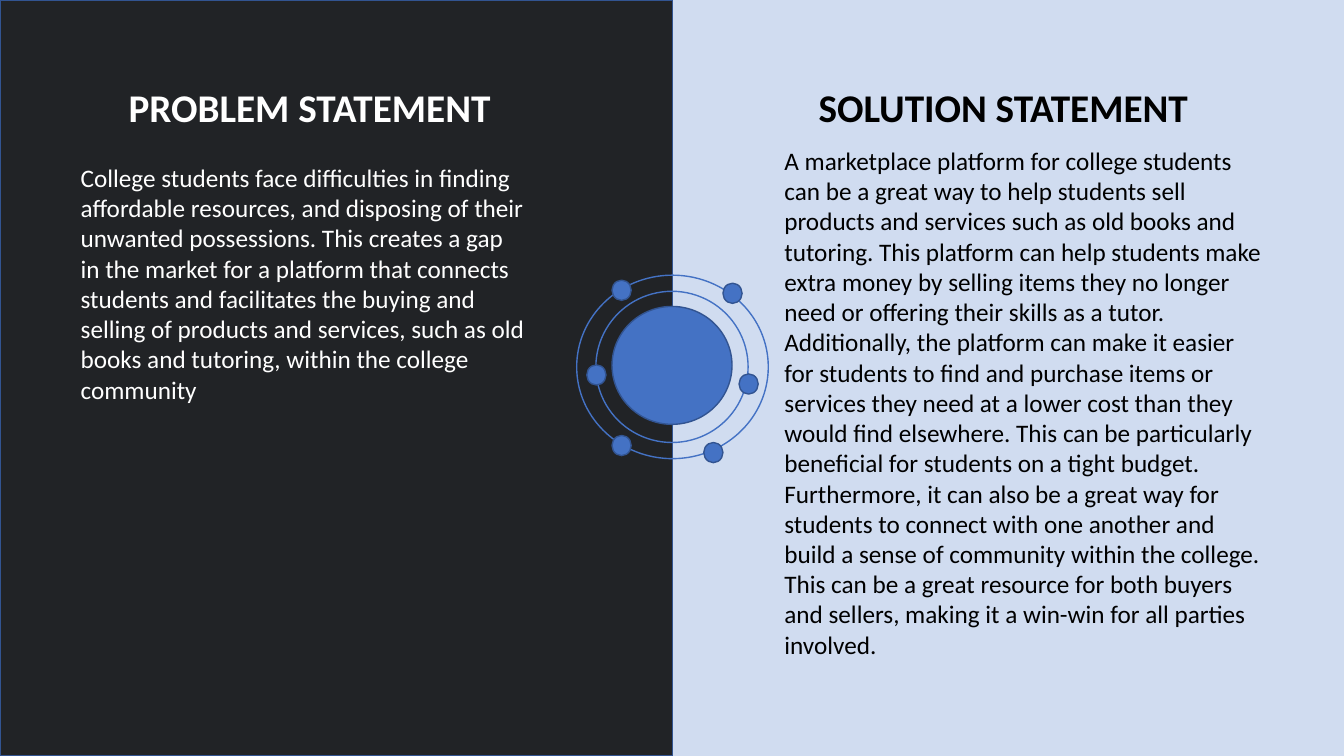
import pptx
import pptx.util
import pptx.dml.color
import pptx.enum.shapes
import pptx.enum.text
import pptx.oxml
import pptx.oxml.ns

Inches = pptx.util.Inches
Pt = pptx.util.Pt
SHAPE = pptx.enum.shapes.MSO_SHAPE
ALIGN = pptx.enum.text.PP_ALIGN
ANCHOR = pptx.enum.text.MSO_ANCHOR

COLOURS = {
    "background": "D0DCF0",
    "panel": "212326",
    "accent": "4472C4",
    "outline": "325491",
    "light": "FFFFFF",
    "dark": "000000",
}

HEADING = {
    "frame": {"vertical_anchor": ANCHOR.MIDDLE},
    "paragraph": {"alignment": ALIGN.CENTER},
    "font": {"name": "Calibri", "size": Pt(28), "bold": True},
}
STATEMENT = {
    "frame": {"vertical_anchor": ANCHOR.TOP},
    "paragraph": {"alignment": ALIGN.LEFT},
    "font": {"name": "Calibri", "size": Pt(18), "bold": False},
}
FRAME = {"word_wrap": True, "auto_size": pptx.enum.text.MSO_AUTO_SIZE.NONE}
PARAGRAPH = {"space_before": Pt(0), "space_after": Pt(0), "line_spacing": 1.0}

PROBLEM = (
    "College students face difficulties in finding affordable resources, and "
    "disposing of their unwanted possessions. This creates a gap in the market "
    "for a platform that connects students and facilitates the buying and "
    "selling of products and services, such as old books and tutoring, within "
    "the college community"
)
SOLUTION = (
    "A marketplace platform for college students can be a great way to help "
    "students sell products and services such as old books and tutoring. This "
    "platform can help students make extra money by selling items they no "
    "longer need or offering their skills as a tutor. Additionally, the "
    "platform can make it easier for students to find and purchase items or "
    "services they need at a lower cost than they would find elsewhere. This "
    "can be particularly beneficial for students on a tight budget. "
    "Furthermore, it can also be a great way for students to connect with one "
    "another and build a sense of community within the college. This can be a "
    "great resource for both buyers and sellers, making it a win-win for all "
    "parties involved."
)


def rgb(name):
    return pptx.dml.color.RGBColor.from_string(COLOURS[name])


def assign(target, values):
    for attribute, value in values.items():
        setattr(target, attribute, value)


def place(part, box):
    assign(part, dict(zip(("left", "top", "width", "height"), map(Inches, box))))


def add_figure(slide, preset, box, fill, line):
    figure = slide.shapes.add_shape(preset, *map(Inches, box))
    figure.shadow.inherit = False
    if fill:
        figure.fill.solid()
        figure.fill.fore_color.rgb = rgb(fill)
    else:
        figure.fill.background()
    figure.line.color.rgb = rgb(line)
    figure.line.width = Pt(1)


def write(part, box, words, style, colour):
    place(part, box)
    tree = part.element.getparent()
    tree.append(part.element)
    assign(part.text_frame, {**FRAME, **style["frame"]})
    paragraph = part.text_frame.paragraphs[0]
    assign(paragraph, {**PARAGRAPH, **style["paragraph"]})
    properties = paragraph._p.get_or_add_pPr()
    properties.set("marL", "0")
    properties.set("indent", "0")
    properties.append(pptx.oxml.parse_xml(
        "<a:buNone %s/>" % pptx.oxml.ns.nsdecls("a")))
    run = paragraph.add_run()
    run.text = words
    assign(run.font, style["font"])
    run.font.color.rgb = rgb(colour)


def draw_orbit(slide, box):
    left, top, width, height = box
    circle = SHAPE.FLOWCHART_CONNECTOR
    core = (left + 0.35, top + 0.31, 1.19, 1.17)
    inner_ring = (left + 0.19, top + 0.16, 1.51, 1.5)
    add_figure(slide, circle, core, "accent", "outline")
    for ring in (box, inner_ring):
        add_figure(slide, circle, ring, None, "accent")
    satellites = [(0.35, 0.05), (0.1, 0.89), (0.35, 1.59),
                  (1.45, 0.08), (1.61, 0.98), (1.26, 1.66)]
    for across, down in satellites:
        add_figure(slide, circle, (left + across, top + down, 0.19, 0.2),
                   "accent", "outline")


def fill_half(box, heading, heading_words, body, body_words, body_box, colour):
    left, top, width, height = box
    across, down, body_width, body_height = body_box
    write(heading, (left, top, width, 1.32), heading_words, HEADING, colour)
    write(body, (left + across, top + down, body_width, body_height),
          body_words, STATEMENT, colour)


def build_statements(presentation):
    slide = presentation.slides.add_slide(presentation.slide_layouts[3])
    slide.background.fill.solid()
    slide.background.fill.fore_color.rgb = rgb("background")
    problem_heading, problem_body, solution_body = slide.placeholders
    solution_heading = slide.shapes.add_textbox(0, 0, 0, 0)
    add_figure(slide, SHAPE.RECTANGLE, (0, 0, 6.67, 7.5), "panel", "outline")
    draw_orbit(slide, (5.72, 2.73, 1.9, 1.82))
    fill_half((0.74, 0.4, 4.66, 6.3), problem_heading, "PROBLEM STATEMENT",
              problem_body, PROBLEM, (-0.04, 1.16, 4.61, 2.52), "light")
    fill_half((7.62, 0.4, 4.66, 6.3), solution_heading, "SOLUTION STATEMENT",
              solution_body, SOLUTION, (0.06, 0.99, 4.97, 5.25), "dark")


def main():
    presentation = pptx.Presentation()
    presentation.slide_width = Inches(13.33)
    presentation.slide_height = Inches(7.5)
    build_statements(presentation)
    presentation.save("out.pptx")


if __name__ == "__main__":
    main()
